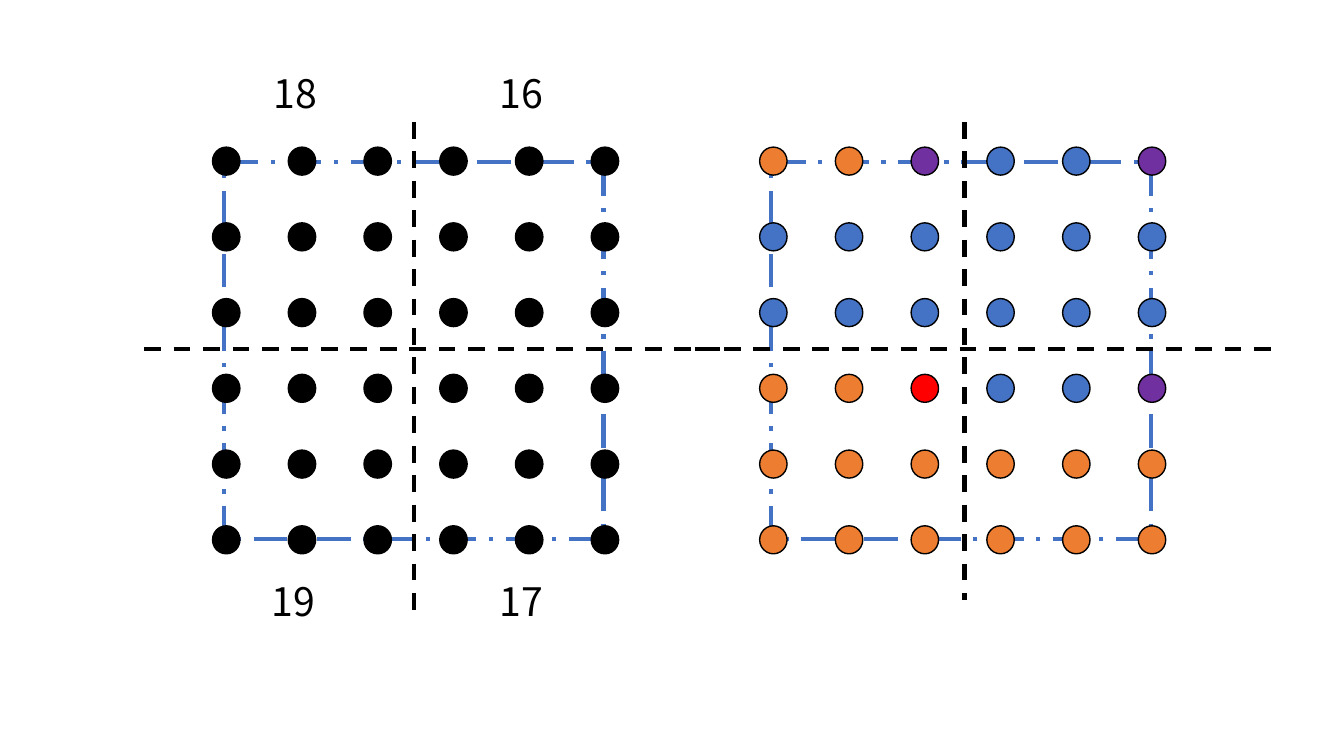
from lxml.etree import SubElement
from pptx import Presentation
from pptx.dml.color import RGBColor
from pptx.enum.dml import MSO_LINE as Dash
from pptx.enum.shapes import MSO_CONNECTOR as Connector, MSO_SHAPE as Shape
from pptx.enum.text import MSO_ANCHOR as Anchor, MSO_AUTO_SIZE as AutoSize
from pptx.oxml.ns import qn
from pptx.util import Pt

COLORS = {"K": "000000", "B": "4472C4", "O": "ED7D31", "P": "7030A0", "R": "FF0000"}

# Dot colours, row by row
PLAIN_ROWS = ["KKKKKK"] * 6
COLORED_ROWS = ["OOPBBP", "BBBBBB", "BBBBBB", "OORBBP", "OOOOOO", "OOOOOO"]

PITCH = 54.1
DOT_WIDTH, DOT_HEIGHT = 19.6, 20
GRID_TOP = 105.1
PLAIN_LEFT, COLORED_LEFT = 151.8, 542.6


class Board:
    font = "Noto Sans CJK SC"
    font_size = 28
    thick, thin = 3, 1

    def __init__(self, slide):
        self.slide = slide

    def color(self, key):
        return RGBColor.from_string(COLORS[key])

    def stroke(self, line, key, width, dash=None):
        line.color.rgb = self.color(key)
        line.width = Pt(width)
        if dash:
            line.dash_style = dash

    def frame(self, left, top, width, height):
        shape = self.slide.shapes.add_shape(
            Shape.RECTANGLE, Pt(left), Pt(top), Pt(width), Pt(height))
        shape.shadow.inherit = False
        shape.fill.background()
        self.stroke(shape.line, "B", self.thick, Dash.LONG_DASH_DOT)

    def dot(self, left, top, key):
        shape = self.slide.shapes.add_shape(
            Shape.OVAL, Pt(left), Pt(top), Pt(DOT_WIDTH), Pt(DOT_HEIGHT))
        shape.shadow.inherit = False
        shape.fill.solid()
        shape.fill.fore_color.rgb = self.color(key)
        self.stroke(shape.line, "K", self.thin)

    def dots(self, left, rows):
        for row, keys in enumerate(rows):
            for column, key in enumerate(keys):
                self.dot(left + column * PITCH, GRID_TOP + row * PITCH, key)

    def divider(self, x1, y1, x2, y2):
        connector = self.slide.shapes.add_connector(
            Connector.STRAIGHT, Pt(x1), Pt(y1), Pt(x2), Pt(y2))
        SubElement(connector._element.spPr, qn("a:effectLst"))
        self.stroke(connector.line, "K", self.thick, Dash.DASH)

    def label(self, left, top, text):
        shape = self.slide.shapes.add_textbox(Pt(left), Pt(top), Pt(55.4), Pt(41))
        frame = shape.text_frame
        frame.word_wrap = True
        frame.auto_size = AutoSize.SHAPE_TO_FIT_TEXT
        frame.vertical_anchor = Anchor.MIDDLE
        paragraph = frame.paragraphs[0]
        paragraph.text = text
        paragraph.font.name = self.font
        paragraph.font.size = Pt(self.font_size)
        paragraph.font.color.rgb = self.color("K")


def main():
    presentation = Presentation()
    presentation.slide_width = Pt(960)
    presentation.slide_height = Pt(540)
    board = Board(presentation.slides.add_slide(presentation.slide_layouts[6]))

    # Frames behind the dots
    for left in (159.8, 550.8):
        board.frame(left, 115.9, 271.4, 269.3)

    # Dot grids
    board.dots(COLORED_LEFT, COLORED_ROWS)
    board.dots(PLAIN_LEFT, PLAIN_ROWS)

    # Quadrant dividers
    for left, center, bottom in ((496.1, 689, 428.4), (103, 295.9, 435.6)):
        board.divider(left, 249.1, left + 414, 249.1)
        board.divider(center, 87.1, center, bottom)

    # Quadrant numbers
    for left, top, text in ((187.2, 409, "19"), (349.9, 409, "17"),
                            (188.6, 46.1, "18"), (349.9, 46.1, "16")):
        board.label(left, top, text)

    presentation.save("out.pptx")


if __name__ == "__main__":
    main()
